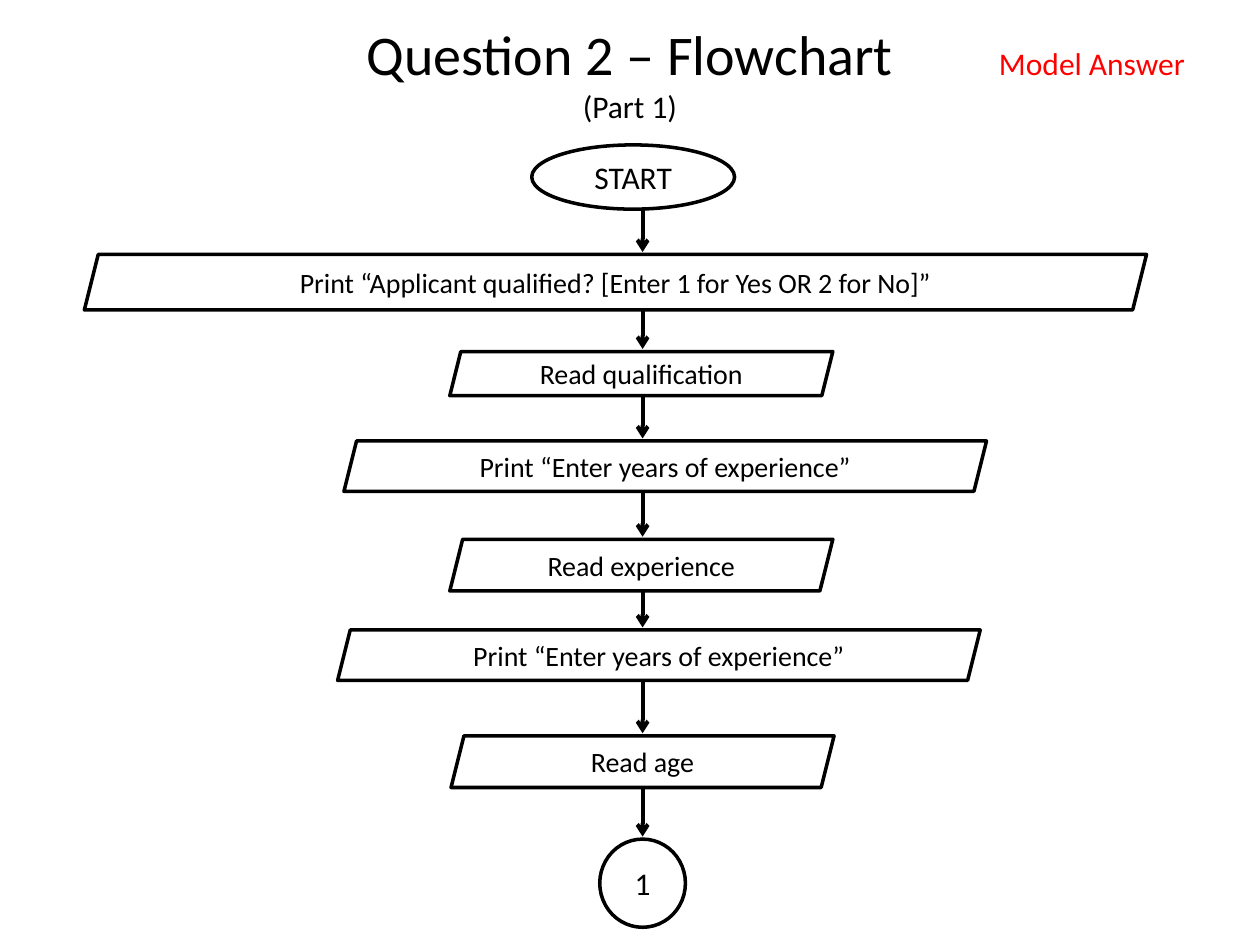
from itertools import pairwise

from lxml import etree
from pptx import Presentation, util as u
from pptx.dml.color import RGBColor
from pptx.enum import shapes, text
from pptx.oxml.ns import qn

THEME = {
    "font": "Calibri",
    "ink": RGBColor(0, 0, 0),
    "accent": RGBColor(255, 0, 0),
    "paper": RGBColor(255, 255, 255),
    "title": 32, "label": 18, "step": 16,
    "outline": 2, "arrow": 2.25,
}
WIDTH, HEIGHT = 10, 7.5
FLOW_X = 5.1      # vertical axis of the arrows
ARROW_GAP = 0.02  # space left before the next step

TITLE, PART, NOTE = "Question 2 – Flowchart", "(Part 1)", "Model Answer"

ENDPOINT = shapes.MSO_SHAPE.OVAL
IN_OUT = shapes.MSO_SHAPE.PARALLELOGRAM
# kind, wording, left, top, width, height
STEPS = [
    (ENDPOINT, "START", 4.22, 1.15, 1.61, 0.51),
    (IN_OUT, "Print “Applicant qualified? [Enter 1 for Yes OR 2 for No]”",
     0.67, 2.02, 8.43, 0.44),
    (IN_OUT, "Read qualification", 3.57, 2.79, 3.04, 0.35),
    (IN_OUT, "Print “Enter years of experience”", 2.73, 3.5, 5.1, 0.4),
    (IN_OUT, "Read experience", 3.57, 4.28, 3.04, 0.41),
    (IN_OUT, "Print “Enter years of experience”", 2.68, 5, 5.1, 0.4),
    (IN_OUT, "Read age", 3.58, 5.84, 3.04, 0.41),
    (ENDPOINT, "1", 4.76, 6.66, 0.68, 0.7),
]


def inches(*lengths):
    """Convert several lengths at once."""
    return [u.Inches(length) for length in lengths]


def style(font, size, color=THEME["ink"]):
    """Give a font the theme's face with a size and colour."""
    font.name, font.size = THEME["font"], u.Pt(size)
    font.color.rgb = color


def add_title(slide):
    """Fill the title placeholder with the heading and its part number."""
    title = slide.shapes.title
    title.left, title.top, title.width, title.height = inches(0.5, 0.3, WIDTH - 1, 0.55)
    frame = title.text_frame
    frame.auto_size = text.MSO_AUTO_SIZE.NONE
    frame.vertical_anchor = text.MSO_ANCHOR.MIDDLE
    heading = frame.paragraphs[0]
    heading.alignment = text.PP_ALIGN.CENTER
    for wording, size in ((TITLE, THEME["title"]), (PART, THEME["label"])):
        if heading.runs:
            heading.add_line_break()
        run = heading.add_run()
        run.text = wording
        style(run.font, size)


def add_step(flow, kind, wording, *box):
    """Draw one flowchart symbol with its centred wording."""
    step = flow.shapes.add_shape(kind, *inches(*box))
    step.shadow.inherit = False
    step.line.color.rgb = THEME["ink"]
    step.line.width = u.Pt(THEME["outline"])
    if kind == ENDPOINT:
        step.fill.solid()
        step.fill.fore_color.rgb = THEME["paper"]
    else:
        step.fill.background()
    frame = step.text_frame
    frame.word_wrap = True
    frame.vertical_anchor = text.MSO_ANCHOR.MIDDLE
    frame.margin_left = frame.margin_right = 0
    frame.margin_top = frame.margin_bottom = 0
    label = frame.paragraphs[0]
    label.text, label.alignment = wording, text.PP_ALIGN.CENTER
    style(label.font, THEME["label" if kind == ENDPOINT else "step"])


def add_arrow(flow, start, end):
    """Draw a downward arrow on the flow axis."""
    arrow = flow.shapes.add_connector(
        shapes.MSO_CONNECTOR.STRAIGHT, *inches(FLOW_X, start, FLOW_X, end))
    arrow.line.color.rgb = THEME["ink"]
    arrow.line.width = u.Pt(THEME["arrow"])
    etree.SubElement(arrow.line._get_or_add_ln(), qn("a:tailEnd"), type="arrow")
    etree.SubElement(arrow._element.spPr, qn("a:effectLst"))


def add_note(slide):
    """Put the coloured note in the top right corner."""
    note = slide.shapes.add_textbox(*inches(7.83, 0.3, 1.71, 0.4))
    note.text_frame.word_wrap = True
    note.text_frame.auto_size = text.MSO_AUTO_SIZE.SHAPE_TO_FIT_TEXT
    label = note.text_frame.paragraphs[0]
    label.text = NOTE
    style(label.font, THEME["label"], THEME["accent"])


deck = Presentation()
deck.slide_width, deck.slide_height = inches(WIDTH, HEIGHT)
slide = deck.slides.add_slide(deck.slide_layouts[5])
add_title(slide)
flow = slide.shapes.add_group_shape()
for step in STEPS:
    add_step(flow, *step)
for (*_, top, _, height), (*_, next_top, _, _) in pairwise(STEPS):
    add_arrow(flow, top + height, next_top - ARROW_GAP)
add_note(slide)
deck.save("out.pptx")
